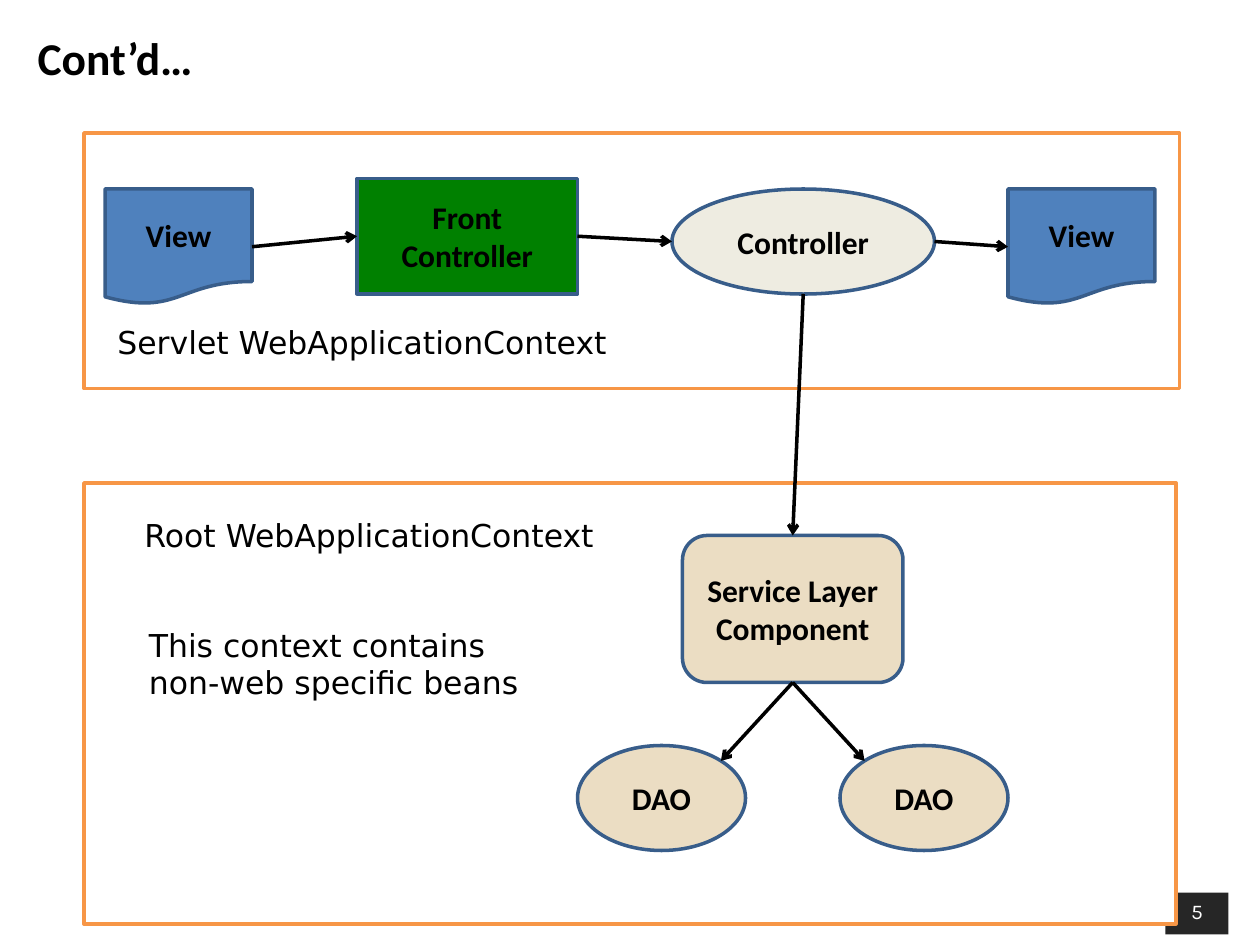
import math

from lxml import etree
from pptx import Presentation
from pptx.dml.color import RGBColor
from pptx.enum import shapes, text
from pptx.oxml import ns
from pptx.util import Pt

BLACK = RGBColor(0x00, 0x00, 0x00)
WHITE = RGBColor(0xFF, 0xFF, 0xFF)
CHARCOAL = RGBColor(0x26, 0x26, 0x26)
ORANGE = RGBColor(0xF7, 0x96, 0x46)
NAVY = RGBColor(0x38, 0x5D, 0x8A)
BLUE = RGBColor(0x4F, 0x81, 0xBD)
GREEN = RGBColor(0x00, 0x80, 0x00)
IVORY = RGBColor(0xEE, 0xEC, 0xE1)
TAN = RGBColor(0xEB, 0xDD, 0xC3)

KIND = shapes.MSO_SHAPE
TOP, LEFT, BOTTOM, RIGHT = range(4)


def write_text(shape, content, size=18, font="DejaVu Sans", color=BLACK, bold=False,
               align=text.PP_ALIGN.LEFT, anchor=text.MSO_ANCHOR.TOP):
    """Put one formatted paragraph into a shape."""
    frame = shape.text_frame
    frame.word_wrap = True
    frame.vertical_anchor = anchor
    paragraph = frame.paragraphs[0]
    paragraph.alignment = align
    run = paragraph.add_run()
    run.text = content
    run.font.size = Pt(size)
    run.font.name = font
    run.font.color.rgb = color
    run.font.bold = bold


def add_label(slide, left, top, width, height, content, **style):
    """Add a text box with formatted text."""
    box = slide.shapes.add_textbox(Pt(left), Pt(top), Pt(width), Pt(height))
    write_text(box, content, **style)


def add_box(slide, kind, left, top, width, height, fill, line=None):
    """Add a filled preset shape, outlined when a line colour is given."""
    shape = slide.shapes.add_shape(kind, Pt(left), Pt(top), Pt(width), Pt(height))
    shape.shadow.inherit = False
    shape.fill.solid()
    shape.fill.fore_color.rgb = fill
    if line is None:
        shape.line.fill.background()
    else:
        shape.line.color.rgb = line
        shape.line.width = Pt(2)
    return shape


def add_node(slide, kind, left, top, width, height, fill, content):
    """Add a diagram node with a bold centred name."""
    node = add_box(slide, kind, left, top, width, height, fill, NAVY)
    write_text(node, content, font="Calibri", bold=True,
               align=text.PP_ALIGN.CENTER, anchor=text.MSO_ANCHOR.MIDDLE)
    return node


def rim_point(ellipse, degrees):
    """Return the point on an ellipse at an angle clockwise from the right."""
    angle = math.radians(degrees)
    x = ellipse.left + ellipse.width / 2 * (1 + math.cos(angle))
    y = ellipse.top + ellipse.height / 2 * (1 + math.sin(angle))
    return round(x), round(y)


def add_arrow(slide, start=(0, 0), end=(0, 0), source=None, target=None):
    """Draw an arrow between points, or between (shape, side) joints."""
    arrow = slide.shapes.add_connector(shapes.MSO_CONNECTOR.STRAIGHT, *start, *end)
    if source:
        arrow.begin_connect(*source)
    if target:
        arrow.end_connect(*target)
    arrow.line.color.rgb = BLACK
    arrow.line.width = Pt(2)
    etree.SubElement(arrow.line._get_or_add_ln(), ns.qn("a:tailEnd"), type="arrow")
    etree.SubElement(arrow._element.spPr, ns.qn("a:effectLst"))


def add_title(slide, left, top, width, height):
    """Add the slide heading."""
    add_label(slide, left, top, width, height, "Cont’d…", size=26, font="Calibri",
              bold=True, anchor=text.MSO_ANCHOR.MIDDLE)


def add_page_number(slide, left, top, width, height):
    """Add the dark page number tab."""
    tab = add_box(slide, KIND.RECTANGLE, left, top, width, height, CHARCOAL)
    write_text(tab, "5", size=12, font="Karla", color=WHITE, align=text.PP_ALIGN.CENTER)


def add_root_context(slide, left, top, width, height):
    """Add the root context panel and return its service node."""
    add_box(slide, KIND.RECTANGLE, left, top, width, height, WHITE, ORANGE)
    add_label(slide, left + 27.5, top + 15.5, 282, 29, "Root WebApplicationContext")
    add_label(slide, left + 30, top + 78, 252, 50,
              "This context contains non-web specific beans")
    service = add_node(slide, KIND.ROUNDED_RECTANGLE, left + 342, top + 30, 126, 84,
                       TAN, "Service Layer Component")
    for offset, angle in ((282, -45), (432, -135)):
        dao = add_node(slide, KIND.OVAL, left + offset, top + 150, 96, 60, TAN, "DAO")
        add_arrow(slide, end=rim_point(dao, angle), source=(service, BOTTOM))
    return service


def add_servlet_context(slide, left, top, width, height):
    """Add the servlet context panel and return its controller node."""
    add_box(slide, KIND.RECTANGLE, left, top, width, height, WHITE, ORANGE)
    add_label(slide, left + 12, top + 105, 298, 29, "Servlet WebApplicationContext")
    request_view, response_view = [
        add_node(slide, KIND.FLOWCHART_DOCUMENT, left + offset, top + 32, 84, 66, BLUE, "View")
        for offset in (12, 528)
    ]
    front = add_node(slide, KIND.RECTANGLE, left + 156, top + 26, 126, 66,
                     GREEN, "Front Controller")
    controller = add_node(slide, KIND.OVAL, left + 336, top + 32, 150, 60,
                          IVORY, "Controller")
    add_arrow(slide, source=(request_view, RIGHT), target=(front, LEFT))
    add_arrow(slide, end=rim_point(controller, 180), source=(front, RIGHT))
    add_arrow(slide, start=rim_point(controller, 0), target=(response_view, LEFT))
    return controller


def main():
    """Build and save the slide."""
    presentation = Presentation()
    presentation.slide_width, presentation.slide_height = Pt(720), Pt(540)
    slide = presentation.slides.add_slide(presentation.slide_layouts[6])
    add_page_number(slide, 666, 510, 36, 24)
    add_title(slide, 14.4, 11, 695, 44)
    service = add_root_context(slide, 48, 276, 624, 252)
    controller = add_servlet_context(slide, 48, 76, 626, 146)
    add_arrow(slide, start=rim_point(controller, 90), target=(service, TOP))
    presentation.save("out.pptx")


if __name__ == "__main__":
    main()
